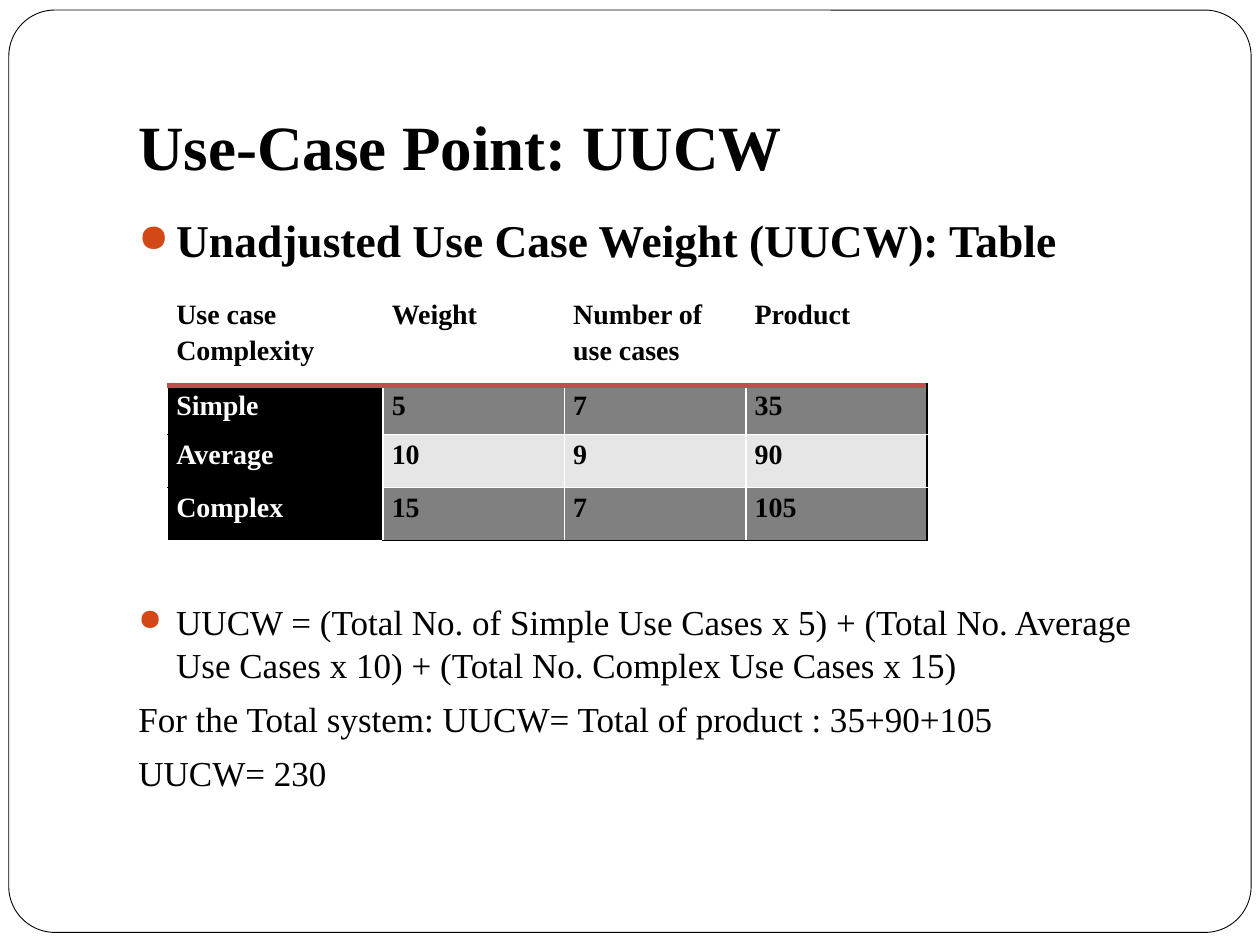
from lxml import etree
from pptx import Presentation
from pptx import util as u
from pptx.dml.color import RGBColor
from pptx.enum import shapes, text
from pptx.oxml import ns

FONT = "Times New Roman"
COLORS = {
    "black": "000000",
    "white": "FFFFFF",
    "bullet": "D34817",
    "rule": "C0504D",
    "dark": "808080",
    "light": "E6E6E6",
}

TABLE = [
    ["Use case Complexity", "Weight", "Number of use cases", "Product"],
    ["Simple", "5", "7", "35"],
    ["Average", "10", "9", "90"],
    ["Complex", "15", "7", "105"],
]
COL_WIDTHS = [1.71, 1.44, 1.44, 1.44]
ROW_HEIGHTS = [0.72, 0.39, 0.42, 0.42]

# Each line is its text and whether it has a bullet
HEADING = [("Unadjusted Use Case Weight (UUCW): Table", True)]
FORMULA = [
    ("UUCW = (Total No. of Simple Use Cases x 5) + (Total No. Average "
     "Use Cases x 10) + (Total No. Complex Use Cases x 15)", True),
    ("For the Total system: UUCW= Total of product : 35+90+105", False),
    ("UUCW= 230", False),
]


def rgb(name):
    return RGBColor.from_string(COLORS[name])


def add_xml(parent, tag, **attrs):
    return etree.SubElement(parent, ns.qn(tag), attrs)


def style_font(font, size, bold, color="black"):
    values = {"name": FONT, "size": u.Pt(size), "bold": bold}
    for key, value in values.items():
        setattr(font, key, value)
    font.color.rgb = rgb(color)


def set_margins(target, left, top, right, bottom):
    margins = {"left": left, "top": top, "right": right, "bottom": bottom}
    for side, value in margins.items():
        setattr(target, f"margin_{side}", u.Inches(value))


def add_frame(s, left, top, width, height):
    sp = s.shapes.add_shape(
        shapes.MSO_SHAPE.ROUNDED_RECTANGLE,
        *map(u.Inches, (left, top, width, height)))
    sp.adjustments[0] = 0.05
    sp.shadow.inherit = False
    sp.fill.solid()
    sp.fill.fore_color.rgb = rgb("white")
    sp.line.color.rgb = rgb("black")
    sp.line.width = u.Pt(0.5)


def add_text_box(s, left, top, width, height, bottom_inset=0.05):
    tf = s.shapes.add_textbox(
        *map(u.Inches, (left, top, width, height))).text_frame
    tf.word_wrap = True
    set_margins(tf, 0.1, 0.05, 0.1, bottom_inset)
    return tf


def add_title(s, left, top, width, height):
    tf = add_text_box(s, left, top, width, height, bottom_inset=0.1)
    tf.vertical_anchor = text.MSO_ANCHOR.BOTTOM
    r = tf.paragraphs[0].add_run()
    r.text = "Use-Case Point: UUCW"
    style_font(r.font, 36, True)


def add_lines(s, left, top, width, height, lines, size, bold):
    tf = add_text_box(s, left, top, width, height)
    indent = u.Inches(0.3)
    for i, (line, bulleted) in enumerate(lines):
        p = tf.add_paragraph() if i else tf.paragraphs[0]
        p.line_spacing = 1.04
        p.space_before = u.Pt(5.8 if i else 0)
        pPr = p._p.get_or_add_pPr()
        pPr.set("marL", str(indent))
        pPr.set("indent", str(-indent))
        if bulleted:
            color = add_xml(pPr, "a:buClr")
            add_xml(color, "a:srgbClr", val=COLORS["bullet"])
            add_xml(pPr, "a:buSzPct", val="85000")
            add_xml(pPr, "a:buChar", char="●")
        else:
            add_xml(pPr, "a:buNone")
        r = p.add_run()
        r.text = line
        style_font(r.font, size, bold)


def set_borders(cell, borders):
    """Draw the given sides; borders maps a side to (colour, points)."""
    tcPr = cell._tc.get_or_add_tcPr()
    lines = []
    for side in "LRTB":
        if side not in borders:
            continue
        color, width = borders[side]
        ln = etree.Element(ns.qn(f"a:ln{side}"), w=str(u.Pt(width)))
        add_xml(add_xml(ln, "a:solidFill"), "a:srgbClr", val=COLORS[color])
        lines.append(ln)
    # Borders come before the fill
    for i, ln in enumerate(lines):
        tcPr.insert(i, ln)


def cell_borders(row, col):
    last_row, last_col = len(TABLE) - 1, len(COL_WIDTHS) - 1
    if row == 0:
        return {"B": ("rule", 3)}
    inner = "black" if col == 0 else "white"
    borders = {
        "T": ("rule", 3) if row == 1 else (inner, 1),
        "R": ("black" if col == last_col else "white", 1),
        "B": ("black" if row == last_row else inner, 1),
    }
    if col:
        borders["L"] = ("white", 1)
    elif row == last_row:
        del borders["B"]
    return borders


def cell_fill(row, col):
    if row == 0:
        return "white"
    if col == 0:
        return "black"
    return "dark" if row % 2 else "light"


def add_weight_table(s, left, top):
    size = sum(COL_WIDTHS), sum(ROW_HEIGHTS)
    table = s.shapes.add_table(
        len(TABLE), len(COL_WIDTHS),
        *map(u.Inches, (left, top, *size))).table
    table.first_row = table.horz_banding = False
    for column, width in zip(table.columns, COL_WIDTHS):
        column.width = u.Inches(width)
    for i, (row, height) in enumerate(zip(table.rows, ROW_HEIGHTS)):
        row.height = u.Inches(height)
        for j, cell in enumerate(row.cells):
            set_margins(cell, 0.07, 0, 0.07, 0)
            fill = cell_fill(i, j)
            cell.fill.solid()
            cell.fill.fore_color.rgb = rgb(fill)
            set_borders(cell, cell_borders(i, j))
            p = cell.text_frame.paragraphs[0]
            p.line_spacing = 1.15
            r = p.add_run()
            r.text = TABLE[i][j]
            style_font(r.font, 16, True,
                       "white" if fill == "black" else "black")


def main():
    prs = Presentation()
    prs.slide_width, prs.slide_height = u.Inches(10), u.Inches(7.5)
    s = prs.slides.add_slide(prs.slide_layouts[6])

    add_frame(s, 0.07, 0.08, 9.86, 7.32)
    add_title(s, 1, 0.3, 8.5, 1.25)
    add_lines(s, 1, 1.62, 8.5, 0.6, HEADING, 26, True)
    add_lines(s, 1, 4.7, 8.5, 1.88, FORMULA, 20, False)
    add_weight_table(s, 1.33, 2.34)

    prs.save("out.pptx")


if __name__ == "__main__":
    main()
